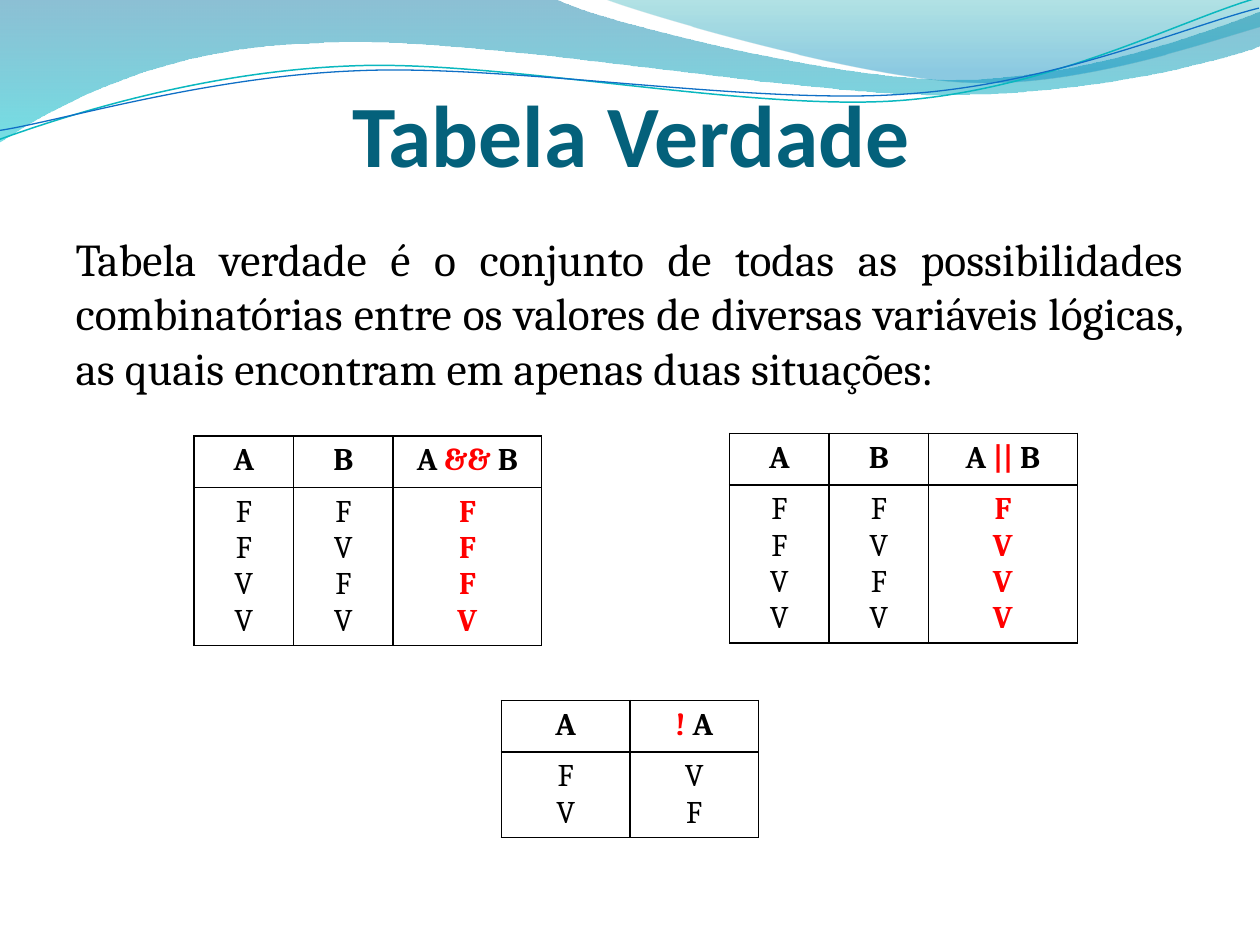
from lxml import etree
from pptx import Presentation
from pptx.dml.color import RGBColor
from pptx.enum.text import MSO_ANCHOR, PP_ALIGN
from pptx.oxml.ns import qn
from pptx.util import Inches, Pt

CENTER, JUSTIFY = PP_ALIGN.CENTER, PP_ALIGN.JUSTIFY
BOTTOM = MSO_ANCHOR.BOTTOM
BLACK, RED, WHITE = "000000", "FF0000", "FFFFFF"


def rgb(color):
    return RGBColor.from_string(color)


def trace(shapes, start, segments, close):
    """Outline from line ends (2 numbers) and Bezier curves (6 numbers), in inches."""
    points = [seg[i:i + 2] for seg in segments for i in range(0, len(seg), 2)]
    builder = shapes.build_freeform(Inches(start[0]), Inches(start[1]))
    builder.add_line_segments([(Inches(x), Inches(y)) for x, y in points], close=close)
    sp = builder.convert_to_shape()
    sp.shadow.inherit = False
    # Merge the three points of each curve into one Bezier command
    steps = iter(list(sp.element.iter(qn("a:lnTo"))))
    for seg in segments:
        first = next(steps)
        if len(seg) == 6:
            first.tag = qn("a:cubicBezTo")
            for _ in range(2):
                step = next(steps)
                first.append(step[0])
                step.getparent().remove(step)
    return sp


prs = Presentation()
prs.slide_width, prs.slide_height = Inches(10), Inches(7.5)
s = prs.slides.add_slide(prs.slide_layouts[1])
title, body = s.placeholders

# Translucent waves: start, segments, gradient stops (position, colour, alpha %)
waves = [
    ((0, 0),
     [(4.4, -0.01), (4.76, 0.17, 6.64, 0.63, 7.58, 0.63), (8.53, 0.63, 9.58, 0.26, 10, 0.09),
      (10.01, 0.36), (9.83, 0.44, 8.7, 0.76, 7.46, 0.75), (6.22, 0.75, 3.82, 0.28, 2.57, 0.34),
      (1.29, 0.36, 0.46, 0.83, -0.01, 1.13), (0, 0)],
     [(0, "0074A1", 45), (1, "00C6CF", 55)]),
    ((4.79, -0.01),
     [(5.09, 0.11, 6.82, 0.62, 7.69, 0.65), (8.56, 0.69, 9.61, 0.32, 10, 0.21), (10, 0),
      (4.79, -0.01)],
     [(0, "00A1A9", 30), (0.8, "008BBF", 45)]),
]
for start, segments, stops in waves:
    sp = trace(s.shapes, start, segments, True)
    sp.line.fill.background()
    sp.fill.gradient()
    sp.fill.gradient_angle = 270
    for stop, (position, color, _) in zip(sp.fill.gradient_stops, stops):
        stop.position = position
        stop.color.rgb = rgb(color)
    for clr, (_, _, alpha) in zip(sp.element.iter(qn("a:srgbClr")), stops):
        etree.SubElement(clr, qn("a:alpha")).set("val", str(alpha * 1000))

# Thin lines over the waves, grouped and slightly turned
wave_lines = [
    ((-0.02, 0.87),
     [(0.47, 0.72, 1.58, 0.41, 2.78, 0.42), (3.96, 0.42, 5.91, 0.93, 7.12, 0.9),
      (8.32, 0.87, 9.4, 0.36, 10, 0.22)], "0AB8BF", 0.85),
    ((-0.02, 0.8),
     [(0.46, 0.75, 1.64, 0.45, 2.83, 0.46), (4.03, 0.46, 5.96, 0.88, 7.16, 0.85),
      (8.35, 0.83, 9.42, 0.42, 10.01, 0.3)], "0F6FC6", 0.75),
]
group = s.shapes.add_group_shape()
for start, segments, color, width in wave_lines:
    sp = trace(group.shapes, start, segments, False)
    sp.rotation = 357.3
    sp.fill.background()
    sp.line.color.rgb = rgb(color)
    sp.line.width = Pt(width)

# Title and body, in front of the waves
texts = [
    (title, "Tabela Verdade", (0.51, 0.52, 9, 0.95), CENTER, 50, "Calibri", "04617B", True),
    (body, "Tabela verdade é o conjunto de todas as possibilidades combinatórias entre os "
           "valores de diversas variáveis lógicas, as quais encontram em apenas duas situações:",
     (0.5, 1.78, 9, 1.42), JUSTIFY, 26, "Cambria", BLACK, False),
]
for sp, text, box, align, size, font, color, bold in texts:
    s.shapes.element.append(sp.element)
    sp.left, sp.top, sp.width, sp.height = map(Inches, box)
    sp.text_frame.text = text
    p = sp.text_frame.paragraphs[0]
    p.alignment = align
    f = p.runs[0].font
    f.size, f.name, f.bold = Pt(size), font, bold
    f.color.rgb = rgb(color)
tf = title.text_frame
tf.vertical_anchor = BOTTOM
tf.margin_left = tf.margin_right = tf.margin_bottom = 0
tf.margin_top = Inches(0.05)
pPr = body.text_frame.paragraphs[0]._p.get_or_add_pPr()
pPr.set("marL", "0")
pPr.set("indent", "0")
etree.SubElement(pPr, qn("a:buNone"))

# Truth tables: place, column widths, headers, values by column, whether the result is red
tables = [
    ((1.54, 3.46, 2.76, 1.71), (0.79, 0.79, 1.18), ("A", "B", "A && B"),
     ("FFVV", "FVFV", "FFFV"), True),
    ((5.79, 3.44, 2.76, 1.71), (0.79, 0.79, 1.18), ("A", "B", "A || B"),
     ("FFVV", "FVFV", "FVVV"), True),
    ((3.98, 5.56, 2.05, 1.11), (1.02, 1.02), ("A", "! A"), ("FV", "VF"), False),
]
for box, widths, headers, columns, red_result in tables:
    frame = s.shapes.add_table(2, len(widths), *map(Inches, box))
    table = frame.table
    table.first_row = table.horz_banding = False
    for row in table.rows:
        row.height = Inches(0.41)  # the values row grows with its text
    for c, width in enumerate(widths):
        table.columns[c].width = Inches(width)
        result = red_result and c == len(widths) - 1

        # Header, with the operator in red
        p = table.cell(0, c).text_frame.paragraphs[0]
        words = headers[c].split()
        for i, word in enumerate(words):
            r = p.add_run()
            r.text = word if i == len(words) - 1 else word + " "
            r.font.bold = True
            r.font.color.rgb = rgb(BLACK if word.isalpha() else RED)

        # Values, one paragraph each
        tf = table.cell(1, c).text_frame
        tf.text = "\n".join(columns[c])
        for p in tf.paragraphs:
            p.runs[0].font.bold = result
            p.runs[0].font.color.rgb = rgb(RED if result else BLACK)

    for cell in table.iter_cells():
        for p in cell.text_frame.paragraphs:
            p.alignment = CENTER
            for r in p.runs:
                r.font.size, r.font.name = Pt(18), "Cambria"
        tcPr = cell._tc.get_or_add_tcPr()
        for side in ("a:lnL", "a:lnR", "a:lnT", "a:lnB"):
            ln = etree.SubElement(tcPr, qn(side), w=str(Pt(1)))
            fill = etree.SubElement(ln, qn("a:solidFill"))
            etree.SubElement(fill, qn("a:srgbClr"), val=BLACK)
        cell.fill.solid()
        cell.fill.fore_color.rgb = rgb(WHITE)
    frame.height = Inches(box[3])

prs.save("out.pptx")
